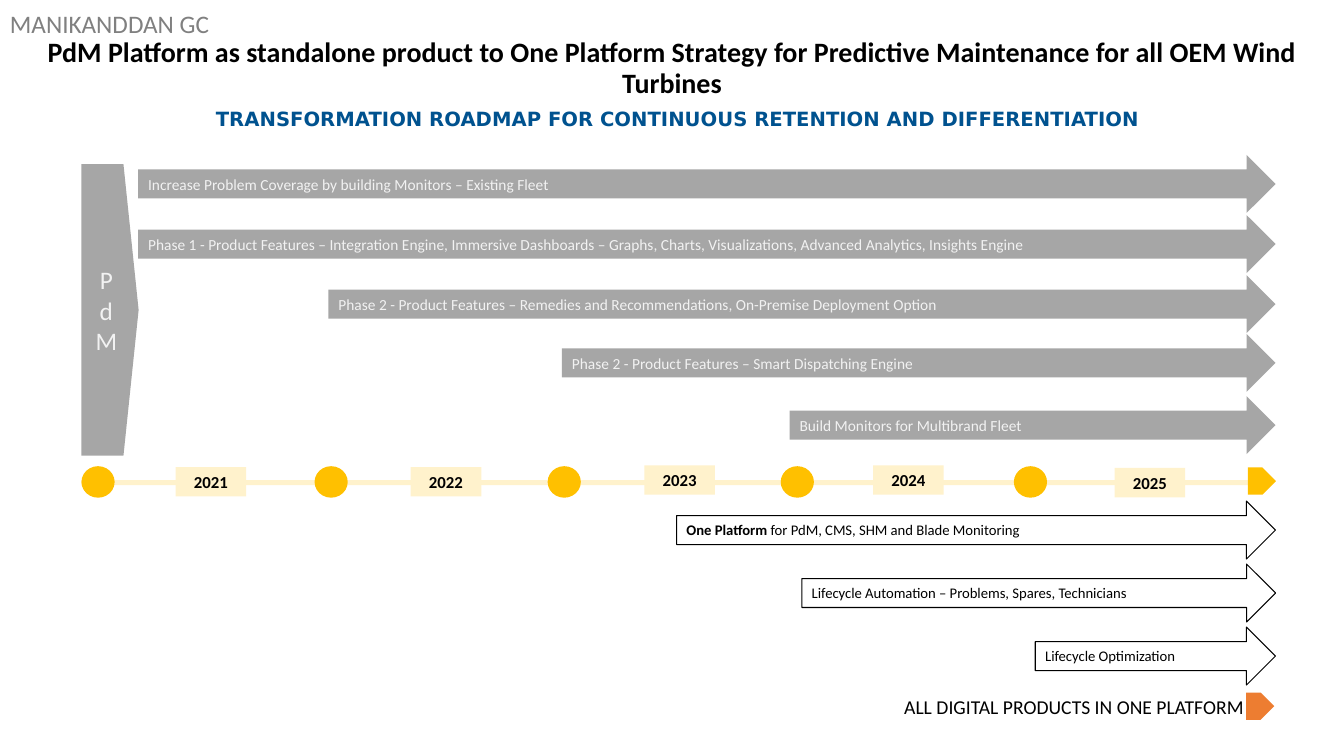
from pptx import Presentation, util as u
from pptx.dml.color import RGBColor
from pptx.enum import shapes, text

COLS, ROWS = 160, 90
SHAPE = shapes.MSO_SHAPE
ALIGN = text.PP_ALIGN
ANCHOR = text.MSO_ANCHOR


def rgb(code):
    return RGBColor.from_string(code)


class Roadmap:
    """Slide builder; lengths are columns and rows of a 160 by 90 grid."""
    font = "Calibri"
    grey, pale, black, white = "A6A6A6", "F2F2F2", "000000", "FFFFFF"
    gold, cream, orange = "FFC000", "FFF2CC", "ED7D31"
    blue, muted = "00528F", "808080"

    def __init__(self, prs):
        self.col = prs.slide_width / COLS
        self.row = prs.slide_height / ROWS
        self.s = prs.slides.add_slide(prs.slide_layouts[6])

    def box(self, left, top, width, height):
        return (round(left * self.col), round(top * self.row),
                round(width * self.col), round(height * self.row))

    def fill_text(self, sp, paragraphs, size, color, align=ALIGN.LEFT,
                  anchor=ANCHOR.MIDDLE, bold=None, font=None, spacing=None):
        """Fill a shape with paragraphs, each a list of (words, bold) runs or a string."""
        tf = sp.text_frame
        tf.word_wrap = True
        tf.vertical_anchor = anchor
        for i, runs in enumerate(paragraphs):
            p = tf.paragraphs[0] if i == 0 else tf.add_paragraph()
            p.alignment = align
            p.line_spacing = spacing
            p.font.size = u.Pt(size)
            p.font.name = font or self.font
            p.font.bold = bold
            p.font.color.rgb = rgb(color)
            for words, strong in [(runs, None)] if isinstance(runs, str) else runs:
                r = p.add_run()
                r.text = words
                r.font.bold = strong

    def label(self, box, words, size, color, inset=True, **style):
        sp = self.s.shapes.add_textbox(*self.box(*box))
        if not inset:
            tf = sp.text_frame
            tf.margin_left = tf.margin_right = tf.margin_top = tf.margin_bottom = 0
        self.fill_text(sp, [words], size, color, **style)

    def shape(self, kind, box, fill, line=None):
        sp = self.s.shapes.add_shape(kind, *self.box(*box))
        sp.shadow.inherit = False
        sp.fill.solid()
        sp.fill.fore_color.rgb = rgb(fill)
        if line:
            sp.line.color.rgb = rgb(line)
            sp.line.width = u.Pt(0)
        else:
            sp.line.fill.background()
        return sp

    def arrow(self, left, top, words, outlined=False):
        """Block arrow from a start column to the shared right-hand edge."""
        box = (left, top, 151.85 - left, 6.9)
        if outlined:
            sp = self.shape(SHAPE.RIGHT_ARROW, box, self.white, self.black)
            self.fill_text(sp, [words], 10.5, self.black)
        else:
            sp = self.shape(SHAPE.RIGHT_ARROW, box, self.grey)
            self.fill_text(sp, [words], 11, self.pale)

    def year(self, left, top, words):
        sp = self.shape(SHAPE.RECTANGLE, (left, top, 8.4, 3.5), self.cream)
        self.fill_text(sp, [words], 12, self.black, ALIGN.CENTER, bold=True)


PDM_ARROWS = [
    (16.45, 18.45, "Increase Problem Coverage by building Monitors – Existing Fleet"),
    (16.45, 25.6, "Phase 1 - Product Features – Integration Engine, Immersive Dashboards – "
                  "Graphs, Charts, Visualizations, Advanced Analytics, Insights Engine"),
    (39.1, 32.75, "Phase 2 - Product Features – Remedies and Recommendations, "
                  "On-Premise Deployment Option"),
    (66.9, 39.75, "Phase 2 - Product Features – Smart Dispatching Engine"),
    (94, 47.15, "Build Monitors for Multibrand Fleet"),
]
PLATFORM_ARROWS = [
    (80.55, [("One Platform", True), (" for PdM, CMS, SHM and Blade Monitoring", None)]),
    (95.45, "Lifecycle Automation – Problems, Spares, Technicians"),
    (123.25, "Lifecycle Optimization"),
]
YEARS = [(20.9, 55.6), (48.9, 55.6), (76.7, 55.4), (103.95, 55.4), (132.7, 55.7)]


def main():
    prs = Presentation()
    prs.slide_width, prs.slide_height = u.Inches(13.33), u.Inches(7.5)
    m = Roadmap(prs)

    m.label((0, 4.2, 160, 8), "PdM Platform as standalone product to One Platform Strategy "
            "for Predictive Maintenance for all OEM Wind Turbines", 20, m.black,
            align=ALIGN.CENTER, bold=True, spacing=0.9)
    m.label((25.7, 13.1, 116, 3.5),
            "TRANSFORMATION ROADMAP FOR CONTINUOUS RETENTION AND DIFFERENTIATION",
            14, m.blue, inset=False, anchor=ANCHOR.TOP, bold=True,
            font="DejaVu Sans", spacing=0.9)

    m.shape(SHAPE.RECTANGLE, (9.7, 57.15, 141.15, 0.6), m.cream)
    m.shape(SHAPE.PENTAGON, (148.55, 55.65, 3.35, 3.25), m.gold)
    for i in range(5):
        m.shape(SHAPE.OVAL, (9.7 + 27.75 * i, 55.5, 3.95, 3.75), m.gold)
    for i, (left, top) in enumerate(YEARS):
        m.year(left, top, str(2021 + i))

    for left, top, words in PDM_ARROWS:
        m.arrow(left, top, words)
    for i, (left, words) in enumerate(PLATFORM_ARROWS):
        m.arrow(left, 59.65 + 7.5 * i, words, outlined=True)

    pdm = m.shape(SHAPE.PENTAGON, (9.7, 19.55, 6.8, 34.7), m.grey)
    pdm.adjustments[0] = 0.265
    m.fill_text(pdm, "PdM", 18, m.pale, ALIGN.CENTER)

    m.shape(SHAPE.PENTAGON, (148.35, 82.45, 3.35, 3.25), m.orange)
    m.label((81.1, 82.7, 67, 2.9), "ALL DIGITAL PRODUCTS IN ONE PLATFORM", 14, m.black,
            inset=False, align=ALIGN.RIGHT, anchor=ANCHOR.TOP)
    m.label((0, 0.35, 31.3, 4.8), "MANIKANDDAN GC", 18, m.muted, anchor=ANCHOR.TOP)

    prs.save("out.pptx")


if __name__ == "__main__":
    main()
